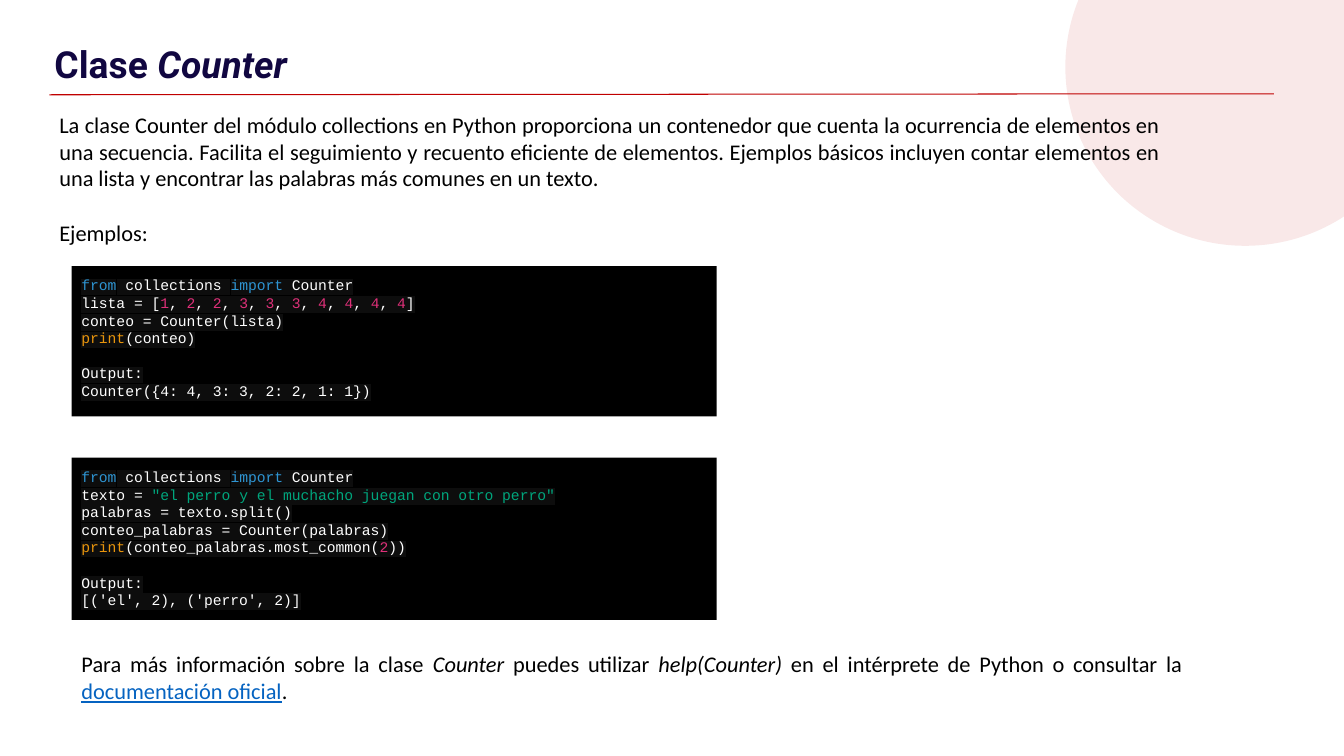
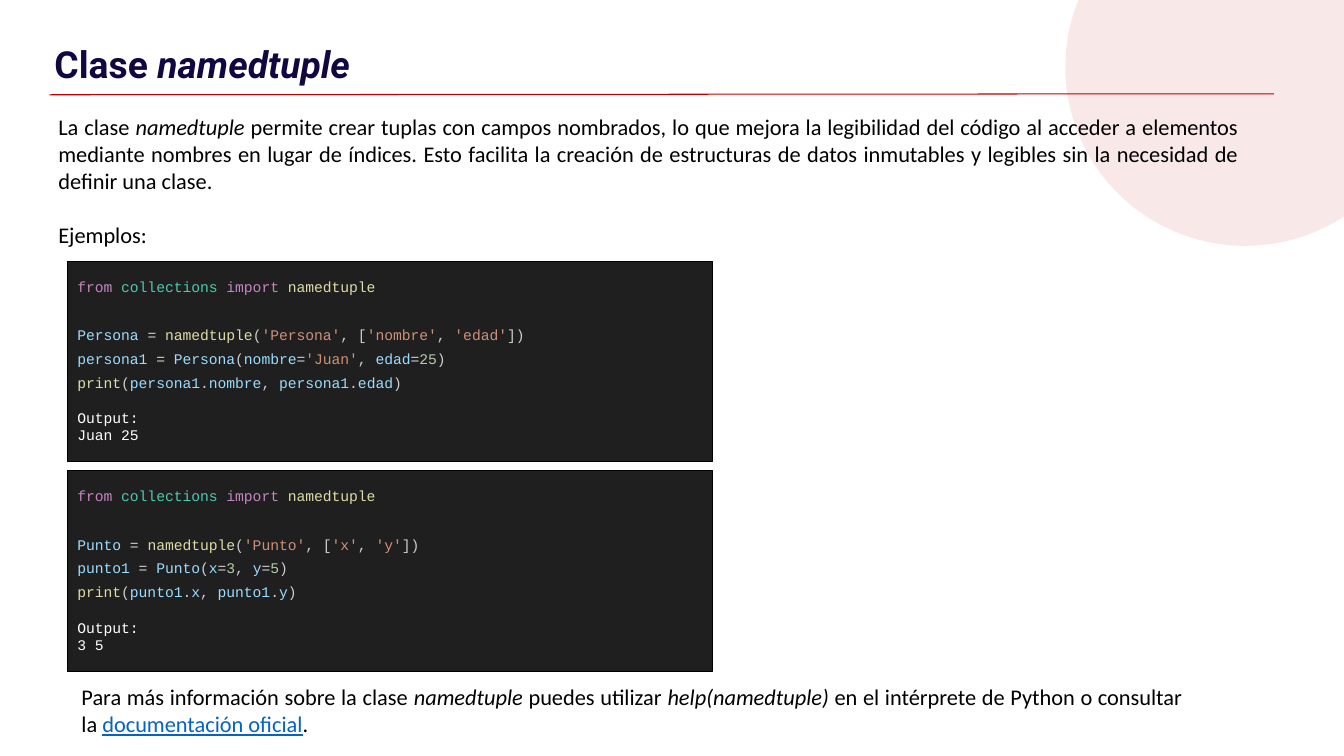
"""Build two slides on the Counter and namedtuple classes."""
from itertools import groupby

from lxml import etree
from pptx import Presentation
from pptx.dml.color import RGBColor
from pptx.enum.shapes import MSO_CONNECTOR, MSO_SHAPE
from pptx.enum.text import MSO_ANCHOR, MSO_AUTO_SIZE, PP_ALIGN
from pptx.oxml.ns import qn
from pptx.util import Pt

OVAL, RECT = MSO_SHAPE.OVAL, MSO_SHAPE.RECTANGLE
LINE = MSO_CONNECTOR.STRAIGHT
TOP, FIXED = MSO_ANCHOR.TOP, MSO_AUTO_SIZE.NONE
LEFT, FULL = PP_ALIGN.LEFT, PP_ALIGN.JUSTIFY

RED = RGBColor(0xC0, 0x00, 0x00)
NAVY = RGBColor(0x11, 0x07, 0x41)
BLACK = RGBColor(0x00, 0x00, 0x00)
WHITE = RGBColor(0xFF, 0xFF, 0xFF)
LINK = RGBColor(0x05, 0x63, 0xC1)
COAL = RGBColor(0x0D, 0x0D, 0x0D)
SLATE = RGBColor(0x1F, 0x1F, 0x1F)
BLUE = RGBColor(0x2E, 0x95, 0xD3)
PINK = RGBColor(0xDF, 0x30, 0x79)
AMBER = RGBColor(0xE9, 0x95, 0x0C)
GREEN = RGBColor(0x00, 0xA6, 0x7D)
MAUVE = RGBColor(0xC5, 0x86, 0xC0)
TEAL = RGBColor(0x4E, 0xC9, 0xB0)
CREAM = RGBColor(0xDC, 0xDC, 0xAA)
SKY = RGBColor(0x9C, 0xDC, 0xFE)
RUST = RGBColor(0xCE, 0x91, 0x78)
LIME = RGBColor(0xB5, 0xCE, 0xA8)
PALE = RGBColor(0xD4, 0xD4, 0xD4)
GREY = RGBColor(0xCC, 0xCC, 0xCC)

NIGHT = {
    "fill": BLACK, "edge": None, "glow": COAL, "pitch": 1, "gap": 12.5,
    "quote": '"', "text": GREEN, "num": PINK, "name": WHITE,
    "equal": WHITE, "mark": WHITE,
    "words": {"from": BLUE, "import": BLUE, "print": AMBER},
}
DUSK = {
    "fill": SLATE, "edge": BLACK, "glow": SLATE, "pitch": 1.36, "gap": 17.3,
    "quote": "'", "text": RUST, "num": LIME, "name": SKY,
    "equal": PALE, "mark": GREY,
    "words": {"from": MAUVE, "import": MAUVE, "collections": TEAL,
              "namedtuple": CREAM, "print": CREAM},
}


def add_run(para, text, font, size, color):
    """Add one formatted run and return it."""
    run = para.add_run()
    run.text = text
    run.font.size = Pt(size)
    run.font.color.rgb = color
    run.font.name = font
    return run


def add_rich(para, text, font, size, color):
    """Add runs, with the parts between asterisks in italics."""
    for num, part in enumerate(text.split("*")):
        if part:
            run = add_run(para, part, font, size, color)
            run.font.italic = num % 2 == 1
            run.font.bold = color == NAVY


def set_frame(frame, side, top, base):
    """Set the insets, anchor and wrapping of a text frame."""
    frame.auto_size = FIXED
    frame.word_wrap = True
    frame.vertical_anchor = TOP
    frame.margin_left = frame.margin_right = Pt(side)
    frame.margin_top, frame.margin_bottom = Pt(top), Pt(base)


def next_para(frame, first):
    """Return the empty first paragraph or a new one."""
    return frame.paragraphs[0] if first else frame.add_paragraph()


def add_base(deck, title):
    """Add a slide with its disc, rule and title."""
    slide = deck.slides.add_slide(deck.slide_layouts[5])
    disc = slide.shapes.add_shape(OVAL, Pt(761), Pt(-80), Pt(257), Pt(255.6))
    disc.shadow.inherit = False
    disc.fill.solid()
    disc.fill.fore_color.rgb = RED
    tone = disc.fill._xPr.find(qn("a:solidFill"))[0]
    etree.SubElement(tone, qn("a:alpha")).set("val", "9000")
    disc.line.fill.background()
    rule = slide.shapes.add_connector(LINE, Pt(35.3), Pt(67.7), Pt(910), Pt(67))
    rule.line.color.rgb = RED
    rule.line.width = Pt(0.75)
    etree.SubElement(rule._element.spPr, qn("a:effectLst"))
    head = slide.shapes.title
    head.left, head.top = Pt(29.5), Pt(0)
    head.width, head.height = Pt(826), Pt(55.4)
    set_frame(head.text_frame, 9.4, 33.1, 0)
    para = head.text_frame.paragraphs[0]
    para.alignment = LEFT
    para.line_spacing = 0.9
    add_rich(para, title, "Roboto", 26.6, NAVY)
    return slide


def add_prose(slide, box, texts):
    """Add a justified text box and return its last paragraph."""
    shape = slide.shapes.add_textbox(*map(Pt, box))
    set_frame(shape.text_frame, 7.2, 3.6, 3.6)
    for num, text in enumerate(texts):
        para = next_para(shape.text_frame, num == 0)
        para.alignment = FULL
        if num:
            para.space_before = Pt(19.5)
        add_rich(para, text, "Calibri", 16, BLACK)
    return para


def add_more(slide, top, name):
    """Add the closing pointer to the documentation."""
    text = (f"Para más información sobre la clase *{name}* puedes utilizar "
            f"*help({name})* en el intérprete de Python o consultar la ")
    para = add_prose(slide, (51.1, top, 800.6, 43.2), [text])
    run = add_run(para, "documentación oficial", "Calibri", 16, LINK)
    run.font.underline = True
    add_run(para, ".", "Calibri", 16, BLACK)


def sort_char(char):
    """Name the token kind that a character belongs to."""
    if char.isalnum() or char == "_":
        return "name"
    return "equal" if char == "=" else "mark"


def split_code(line, theme):
    """Yield the coloured pieces of a line of code."""
    quote = theme["quote"]
    for num, part in enumerate(line.split(quote)):
        if num % 2:
            yield quote + part + quote, theme["text"]
            continue
        for kind, chars in groupby(part, sort_char):
            word = "".join(chars)
            kind = "num" if word.isdigit() else kind
            yield word, theme["words"].get(word, theme[kind])


def add_code(slide, box, theme, blocks, output):
    """Add a code panel: blocks of lines, then the output."""
    panel = slide.shapes.add_shape(RECT, *map(Pt, box))
    panel.shadow.inherit = False
    panel.fill.solid()
    panel.fill.fore_color.rgb = theme["fill"]
    if theme["edge"] is None:
        panel.line.fill.background()
    else:
        panel.line.color.rgb = theme["edge"]
        panel.line.width = Pt(0.75)
    frame = panel.text_frame
    set_frame(frame, 7.2, 7.2, 7.2)
    rows = [(num and not pos and theme["gap"], theme["pitch"],
             split_code(line, theme))
            for num, block in enumerate(blocks)
            for pos, line in enumerate(block)]
    rows += [(12.5 if not pos else 0, 1, [(line, WHITE)])
             for pos, line in enumerate(["Output:", output])]
    for num, (gap, pitch, parts) in enumerate(rows):
        para = next_para(frame, num == 0)
        para.alignment = LEFT
        para.line_spacing = pitch
        para.space_before = Pt(gap)
        for text, color in parts:
            run = add_run(para, text, "Courier New", 10.5, color)
            add_glow(run, theme["glow"])


def add_glow(run, color):
    """Set the highlight colour of a run."""
    glow = etree.Element(qn("a:highlight"))
    etree.SubElement(glow, qn("a:srgbClr")).set("val", str(color))
    run.font._element.find(qn("a:solidFill")).addnext(glow)


def add_count(deck):
    """Add the Counter slide."""
    slide = add_base(deck, "Clase *Counter*")
    add_prose(slide, (35.3, 75.6, 800.6, 107.3), [
        "La clase Counter del módulo collections en Python proporciona un "
        "contenedor que cuenta la ocurrencia de elementos en una secuencia. "
        "Facilita el seguimiento y recuento eficiente de elementos. Ejemplos "
        "básicos incluyen contar elementos en una lista y encontrar las "
        "palabras más comunes en un texto.",
        "Ejemplos:"])
    load = "from collections import Counter"
    add_code(slide, (51.1, 190.1, 460.8, 107.3), NIGHT, [[
        load,
        "lista = [1, 2, 2, 3, 3, 3, 4, 4, 4, 4]",
        "conteo = Counter(lista)",
        "print(conteo)"]], "Counter({4: 4, 3: 3, 2: 2, 1: 1})")
    add_code(slide, (51.1, 326.9, 460.8, 115.9), NIGHT, [[
        load,
        'texto = "el perro y el muchacho juegan con otro perro"',
        "palabras = texto.split()",
        "conteo_palabras = Counter(palabras)",
        "print(conteo_palabras.most_common(2))"]], "[('el', 2), ('perro', 2)]")
    add_more(slide, 460.8, "Counter")


def add_tuple(deck):
    """Add the namedtuple slide."""
    slide = add_base(deck, "Clase *namedtuple*")
    add_prose(slide, (34.6, 77.4, 857.5, 104.4), [
        "La clase *namedtuple* permite crear tuplas con campos nombrados, lo "
        "que mejora la legibilidad del código al acceder a elementos mediante "
        "nombres en lugar de índices. Esto facilita la creación de "
        "estructuras de datos inmutables y legibles sin la necesidad de "
        "definir una clase.",
        "Ejemplos:"])
    samples = [
        (["Persona = namedtuple('Persona', ['nombre', 'edad'])",
          "persona1 = Persona(nombre='Juan', edad=25)",
          "print(persona1.nombre, persona1.edad)"], "Juan 25"),
        (["Punto = namedtuple('Punto', ['x', 'y'])",
          "punto1 = Punto(x=3, y=5)",
          "print(punto1.x, punto1.y)"], "3 5"),
    ]
    for num, (lines, output) in enumerate(samples):
        add_code(slide, (48.2, 186.5 + 149.8 * num, 460.8, 143.3), DUSK,
                 [["from collections import namedtuple"], lines], output)
    add_more(slide, 484.6, "namedtuple")


def main():
    """Build and save the deck."""
    deck = Presentation()
    deck.slide_width, deck.slide_height = Pt(960), Pt(540)
    add_count(deck)
    add_tuple(deck)
    deck.save("out.pptx")


if __name__ == "__main__":
    main()
